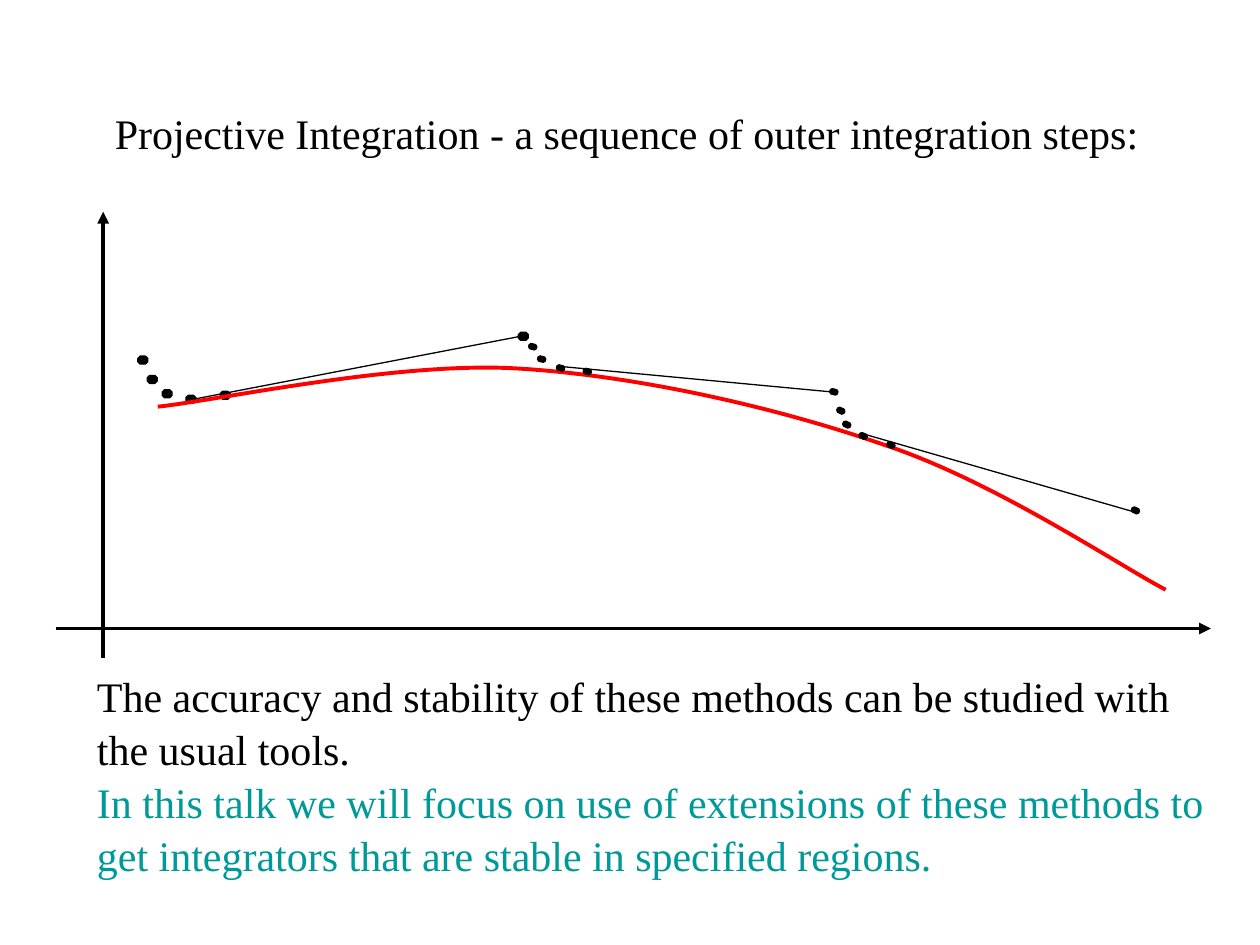
from dataclasses import dataclass

from lxml.etree import SubElement
from pptx import Presentation
from pptx.dml.color import RGBColor
from pptx.enum.shapes import MSO_CONNECTOR, MSO_SHAPE
from pptx.enum.text import MSO_ANCHOR, MSO_AUTO_SIZE, PP_ALIGN
from pptx.oxml.ns import qn
from pptx.util import Cm, Pt


@dataclass(frozen=True)
class Theme:
    font: str = "Times New Roman"
    text_size: Pt = Pt(24)
    thin: Pt = Pt(0.75)
    thick: Pt = Pt(2.25)
    ink: RGBColor = RGBColor(0, 0, 0)
    accent: RGBColor = RGBColor(0x00, 0x99, 0x99)
    curve: RGBColor = RGBColor(0xFF, 0, 0)


theme = Theme()


def draw_line(shapes, start, end, width, arrow=False):
    line = shapes.add_connector(
        MSO_CONNECTOR.STRAIGHT, *(Cm(value) for value in start + end))
    line.line.color.rgb = theme.ink
    line.line.width = width
    properties = line._element.spPr
    if arrow:
        SubElement(properties.find(qn("a:ln")), qn("a:tailEnd"), type="triangle")
    SubElement(properties, qn("a:effectLst"))


def draw_step(slide, dots, dot_size, rotation, line_start, line_end):
    """Group the inner-step dots of one outer step with its projection line."""
    group = slide.shapes.add_group_shape()
    width, height = dot_size
    for x, y in dots:
        dot = group.shapes.add_shape(
            MSO_SHAPE.OCTAGON, Cm(x - width / 2), Cm(y - height / 2),
            Cm(width), Cm(height))
        dot.rotation = rotation
        dot.shadow.inherit = False
        dot.fill.solid()
        dot.fill.fore_color.rgb = theme.ink
        dot.line.color.rgb = theme.ink
        dot.line.width = theme.thin
    draw_line(group.shapes, line_start, line_end, theme.thin)


presentation = Presentation()
presentation.slide_width, presentation.slide_height = Cm(25.4), Cm(19.05)
slide = presentation.slides.add_slide(presentation.slide_layouts[1])

# Title and conclusions
texts = [
    (slide.shapes.title, (2.06, 1.98, 21.41, 1.27), [
        ("Projective Integration - a sequence of outer integration steps:", theme.ink)]),
    (slide.placeholders[1], (1.7, 13.34, 22.86, 4.32), [
        ("The accuracy and stability of these methods can be studied with "
         "the usual tools.", theme.ink),
        ("In this talk we will focus on use of extensions of these methods to "
         "get integrators that are stable in specified regions.", theme.accent)]),
]
for shape, box, lines in texts:
    shape.left, shape.top, shape.width, shape.height = (Cm(value) for value in box)
    frame = shape.text_frame
    frame.word_wrap = True
    frame.auto_size = MSO_AUTO_SIZE.NONE
    frame.vertical_anchor = MSO_ANCHOR.TOP
    frame.text = "\n".join(text for text, color in lines)
    for paragraph, (text, color) in zip(frame.paragraphs, lines):
        properties = paragraph._p.get_or_add_pPr()
        properties.set("marL", "0")
        properties.set("indent", "0")
        SubElement(properties, qn("a:buNone"))
        paragraph.alignment = PP_ALIGN.LEFT
        paragraph.line_spacing = 1.05
        paragraph.space_before = Pt(0)
        paragraph.font.name = theme.font
        paragraph.font.size = theme.text_size
        paragraph.font.color.rgb = color

# First outer step, behind the solution curve
draw_step(slide,
          [(2.88, 7.26), (3.07, 7.65), (3.37, 7.94), (3.85, 8.05), (4.54, 7.97),
           (10.55, 6.78)],
          (0.2, 0.16), 0, (3.89, 8.05), (10.49, 6.78))

# Solution curve: a start point, then three points for each Bézier segment
curve_points = [
    (3.18, 8.2),
    (4.34, 8.08), (7.82, 7.32), (10.26, 7.42),
    (12.7, 7.54), (15.62, 8.2), (17.83, 8.97),
    (20.04, 9.7), (22.56, 11.4), (23.5, 11.89),
]
start, *others = [(Cm(x), Cm(y)) for x, y in curve_points]
builder = slide.shapes.build_freeform(*start)
builder.add_line_segments(others, close=False)
curve = builder.convert_to_shape()
curve.shadow.inherit = False
curve.fill.background()
curve.line.color.rgb = theme.curve
curve.line.width = theme.thick
outline = curve._element.spPr.find(".//" + qn("a:path"))
segments = outline.findall(qn("a:lnTo"))
for first in range(0, len(segments), 3):
    bezier = SubElement(outline, qn("a:cubicBezTo"))
    for segment in segments[first:first + 3]:
        bezier.append(segment[0])
        outline.remove(segment)

# Later outer steps, in front of the curve
draw_step(slide,
          [(10.74, 6.99), (10.92, 7.24), (11.3, 7.42), (11.84, 7.49), (16.81, 7.9)],
          (0.16, 0.11), 14.3, (11.33, 7.39), (16.76, 7.9))
draw_step(slide,
          [(16.95, 8.28), (17.07, 8.56), (17.4, 8.79), (17.96, 8.97), (22.89, 10.29)],
          (0.16, 0.11), 25, (17.45, 8.76), (22.83, 10.31))

# Axes
draw_line(slide.shapes, (1.12, 12.67), (24.41, 12.67), theme.thick, arrow=True)
draw_line(slide.shapes, (2.08, 13.26), (2.08, 4.27), theme.thick, arrow=True)

presentation.save("out.pptx")
